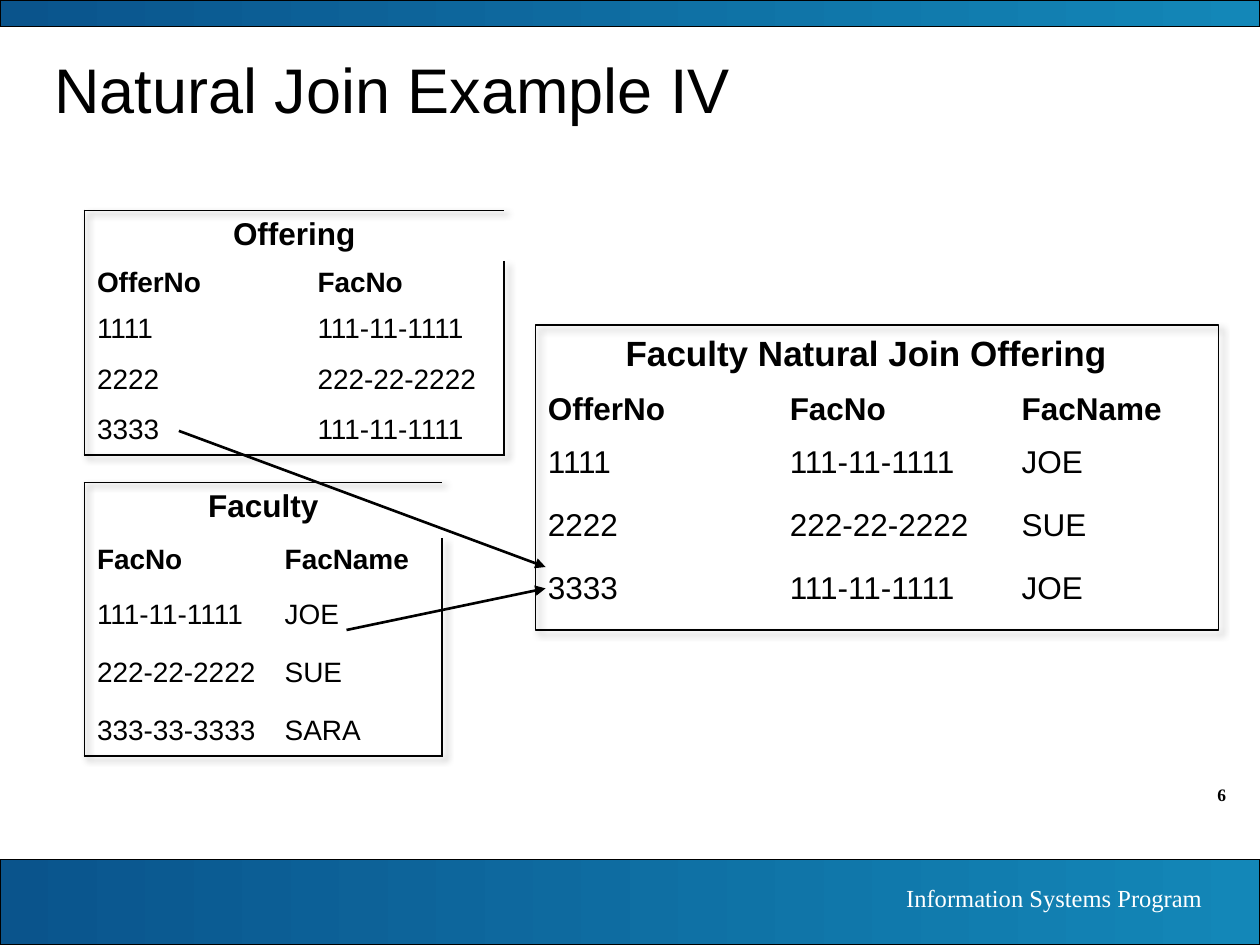
from dataclasses import dataclass
from itertools import accumulate

from lxml import etree
from pptx import Presentation
from pptx import util as u
from pptx.dml.color import RGBColor
from pptx.enum import shapes, text
from pptx.oxml import ns, parse_xml


@dataclass(frozen=True)
class Theme:
    black: str = "000000"
    white: str = "FFFFFF"
    band_start: str = "0A548C"
    band_end: str = "1387B8"
    sans: str = "Arial"
    serif: str = "Times New Roman"
    title: int = 36
    result_title: int = 20
    heading: int = 18
    cell: int = 16
    footer: int = 14
    number: int = 10


THEME = Theme()
LEFT, CENTER, RIGHT = text.PP_ALIGN.LEFT, text.PP_ALIGN.CENTER, text.PP_ALIGN.RIGHT

TITLE = "Natural Join Example IV"
FOOTER = "Information Systems Program"
SLIDE_NUMBER = "6"
BANDS = [(6.82, 0.68), (0, 0.21)]  # top, height

SOURCE_TABLES = [
    {
        "name": "Faculty", "origin": (0.67, 3.83),
        "columns": [1.49, 1.35], "rows": [0.44, 0.44, 0.46, 0.46, 0.37],
        "cells": [("FacNo", "FacName"), ("111-11-1111", "JOE"),
                  ("222-22-2222", "SUE"), ("333-33-3333", "SARA")],
    },
    {
        "name": "Offering", "origin": (0.67, 1.67),
        "columns": [1.75, 1.58], "rows": [0.4, 0.37, 0.4, 0.4, 0.37],
        "cells": [("OfferNo", "FacNo"), ("1111", "111-11-1111"),
                  ("2222", "222-22-2222"), ("3333", "111-11-1111")],
    },
]

RESULT = {
    "name": "Faculty Natural Join Offering", "origin": (4.25, 2.58),
    "frame": (5.42, 2.42),
    "columns": [1.92, 1.84, 1.49], "rows": [0.46, 0.42, 0.5, 0.5, 0.4],
    "cells": [("OfferNo", "FacNo", "FacName"), ("1111", "111-11-1111", "JOE"),
              ("2222", "222-22-2222", "SUE"), ("3333", "111-11-1111", "JOE")],
}

ARROWS = [((1.42, 3.42), (4.33, 4.5)), ((2.75, 5), (4.33, 4.67))]


def inches(*values):
    return [u.Inches(value) for value in values]


def write(frame, content, size, bold=False, align=LEFT, font=THEME.sans, color=THEME.black):
    paragraph = frame.paragraphs[0]
    paragraph.alignment = align
    run = paragraph.add_run()
    run.text = content
    run.font.name, run.font.size, run.font.bold = font, u.Pt(size), bold
    run.font.color.rgb = RGBColor.from_string(color)


def add_label(slide, box, content, size, **style):
    frame = slide.shapes.add_textbox(*inches(*box)).text_frame
    frame.word_wrap = True
    write(frame, content, size, **style)


def soft_shadow():
    return parse_xml(
        f'<a:effectLst {ns.nsdecls("a")}><a:outerShdw blurRad="{u.Pt(4)}" dist="{u.Pt(3)}" '
        f'dir="2700000" algn="tl" rotWithShape="0"><a:srgbClr val="{THEME.black}">'
        '<a:alpha val="40000"/></a:srgbClr></a:outerShdw></a:effectLst>')


def add_band(slide, width, top, height):
    band = slide.shapes.add_shape(shapes.MSO_SHAPE.RECTANGLE, 0, u.Inches(top), width, u.Inches(height))
    band.shadow.inherit = False
    band.fill.gradient()
    band.fill.gradient_angle = 0
    for stop, color in zip(band.fill.gradient_stops, (THEME.band_start, THEME.band_end)):
        stop.color.rgb = RGBColor.from_string(color)
    band.line.color.rgb = RGBColor.from_string(THEME.black)
    band.line.width = u.Pt(0.75)


def add_line(slide, start, end, width, arrow=False):
    line = slide.shapes.add_connector(shapes.MSO_CONNECTOR.STRAIGHT, *inches(*start, *end))
    line.line.color.rgb = RGBColor.from_string(THEME.black)
    line.line.width = u.Pt(width)
    if arrow:
        etree.SubElement(line.line._get_or_add_ln(), ns.qn("a:tailEnd"), type="triangle")
    etree.SubElement(line._element.spPr, ns.qn("a:effectLst"))


def set_borders(cell, sides):
    properties = cell._tc.get_or_add_tcPr()
    for index, side in enumerate(sides):
        properties.insert(index, parse_xml(
            f'<a:ln{side} {ns.nsdecls("a")} w="{u.Pt(1)}"><a:solidFill>'
            f'<a:srgbClr val="{THEME.black}"/></a:solidFill></a:ln{side}>'))


def add_source_table(slide, data):
    columns, rows = data["columns"], data["rows"]
    size = sum(columns), sum(rows)
    table = slide.shapes.add_table(len(rows), len(columns), *inches(*data["origin"], *size)).table
    table.first_row = table.horz_banding = False
    properties = table._tbl.tblPr
    properties.find(ns.qn("a:tableStyleId")).text = "{2D5ABB26-0587-4C30-8999-92F81FD0307C}"
    properties.insert(0, soft_shadow())
    for column, width in zip(table.columns, columns):
        column.width = u.Inches(width)
    for row, height in zip(table.rows, rows):
        row.height = u.Inches(height)

    last_row, last_column = len(rows) - 1, len(columns) - 1
    for r in range(len(rows)):
        for c in range(len(columns)):
            cell = table.cell(r, c)
            cell.fill.background()
            edges = {"L": c == 0, "R": c == last_column, "T": r == 0, "B": r == last_row}
            set_borders(cell, [side for side, outer in edges.items() if outer])
            if r:
                write(cell.text_frame, data["cells"][r - 1][c], THEME.cell, bold=r == 1)
    heading = table.cell(0, 0)
    heading.merge(table.cell(0, last_column))
    set_borders(heading, [])
    write(heading.text_frame, data["name"], THEME.heading, bold=True, align=CENTER)


def add_result(slide, data):
    left, top = data["origin"]
    columns, rows = data["columns"], data["rows"]
    frame = slide.shapes.add_shape(shapes.MSO_SHAPE.RECTANGLE, *inches(left, top, *data["frame"]))
    frame.fill.background()
    frame.line.color.rgb = RGBColor.from_string(THEME.black)
    frame.line.width = u.Pt(0.75)
    frame._element.spPr.append(soft_shadow())
    add_line(slide, (left, top), (left, top + sum(rows)), 1)

    add_label(slide, (left, top, sum(columns), rows[0]), data["name"],
              THEME.result_title, bold=True, align=CENTER)
    lefts = list(accumulate(columns, initial=left))
    tops = list(accumulate(rows, initial=top))[1:]
    for r, values in enumerate(data["cells"]):
        for c, value in enumerate(values):
            add_label(slide, (lefts[c], tops[r], columns[c], rows[r + 1]), value,
                      THEME.heading, bold=r == 0)


def main():
    presentation = Presentation()
    presentation.slide_width, presentation.slide_height = inches(10, 7.5)
    slide = presentation.slides.add_slide(presentation.slide_layouts[5])

    for top, height in BANDS:
        add_band(slide, presentation.slide_width, top, height)
    add_label(slide, (9, 6.17, 0.83, 0.27), SLIDE_NUMBER, THEME.number,
              bold=True, align=RIGHT, font=THEME.serif)
    add_label(slide, (5.55, 6.96, 4.09, 0.34), FOOTER, THEME.footer,
              align=RIGHT, font=THEME.serif, color=THEME.white)

    title = slide.shapes.title
    title.left, title.top, title.width, title.height = inches(0.33, 0.33, 9.17, 0.75)
    title.text_frame.vertical_anchor = text.MSO_ANCHOR.MIDDLE
    write(title.text_frame, TITLE, THEME.title)

    for data in SOURCE_TABLES:
        add_source_table(slide, data)
    add_result(slide, RESULT)
    for start, end in ARROWS:
        add_line(slide, start, end, 1.5, arrow=True)
    presentation.save("out.pptx")


if __name__ == "__main__":
    main()
